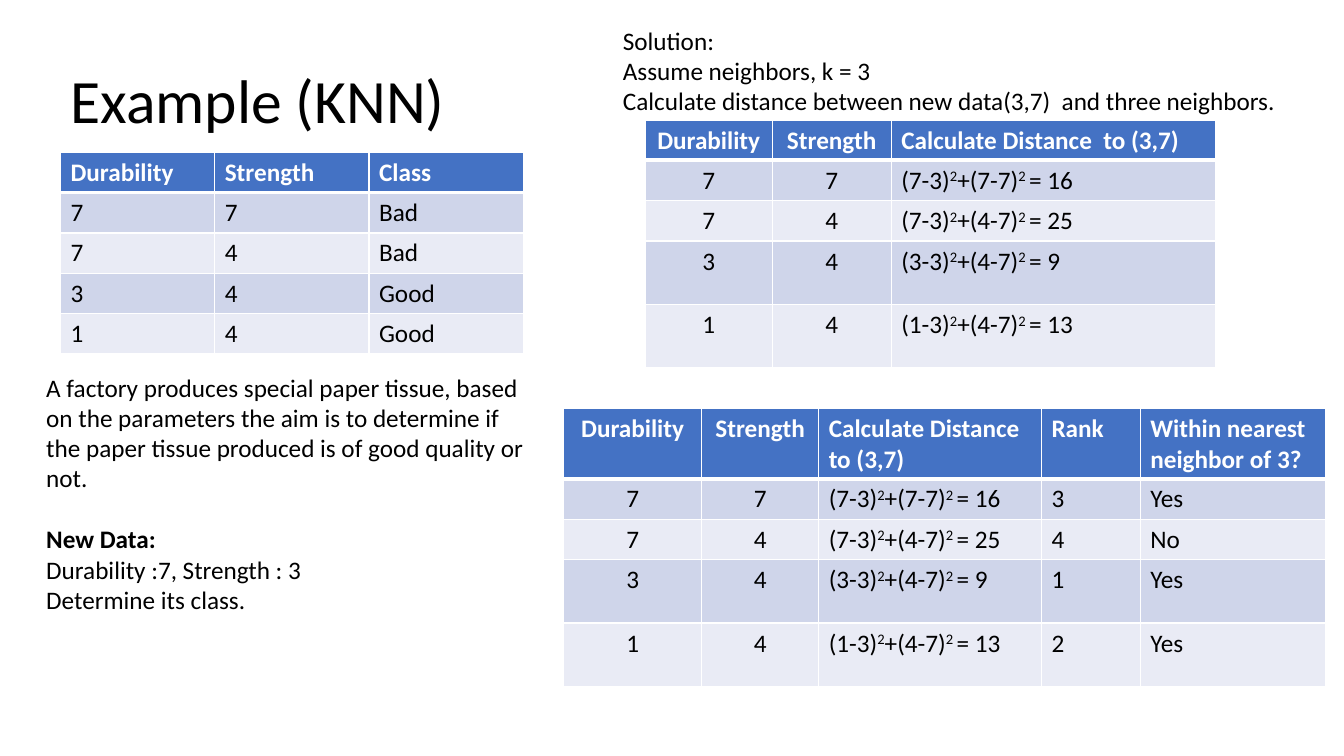
from lxml.etree import SubElement as Sub
from pptx import Presentation
from pptx.dml.color import RGBColor as RGB
from pptx.enum.text import MSO_ANCHOR as Anchor, PP_ALIGN as Align
from pptx.oxml.ns import qn
from pptx.util import Pt

PX = 9144  # 100 px to the inch
BLACK = RGB(0x00, 0x00, 0x00)
WHITE = RGB(0xFF, 0xFF, 0xFF)
BLUE = RGB(0x44, 0x72, 0xC4)
BANDS = [RGB(0xCF, 0xD5, 0xEA), RGB(0xE9, 0xEB, 0xF5)]

deck = Presentation()
deck.slide_width, deck.slide_height = 1333 * PX, 750 * PX
slide = deck.slides.add_slide(deck.slide_layouts[6])


def write(para, text, size=18, color=BLACK, bold=False):
    """Add the text as runs; parts between ^ marks are superscript."""
    for i, part in enumerate(text.split("^")):
        run = para.add_run()
        run.text = part
        font = run.font
        font.name, font.size, font.bold = "Calibri", Pt(size), bold
        font.color.rgb = color
        if i % 2:
            run._r.get_or_add_rPr().set("baseline", "30000")


def add_text(box, lines, size=18):
    """Add a text box and return its frame; lines are (text, bold, gap) tuples."""
    frame = slide.shapes.add_textbox(*[n * PX for n in box]).text_frame
    frame.word_wrap = True
    for i, (text, bold, gap) in enumerate(lines):
        para = frame.add_paragraph() if i else frame.paragraphs[0]
        if gap:
            para.space_before = Pt(gap)
        write(para, text, size, bold=bold)
    return frame


# Title and running text
title = add_text((60, 30, 426, 145), [("Example (KNN)", False, 0)], 44)
title.vertical_anchor = Anchor.MIDDLE
title.paragraphs[0].line_spacing = 0.9

add_text((36, 364, 505, 252), [
    ("A factory produces special paper tissue, based on the parameters the aim "
     "is to determine if the paper tissue produced is of good quality or not.",
     False, 0),
    ("New Data:", True, 22),
    ("Durability :7, Strength : 3", False, 0),
    ("Determine its class.", False, 0),
])
add_text((608, 20, 707, 131), [
    ("Solution:", False, 0),
    ("Assume neighbors, k = 3", False, 0),
    ("Calculate distance between new data(3,7)  and three neighbors.", False, 0),
])

# Table rows, worked out from the samples
samples = [(7, 7, "Bad"), (7, 4, "Bad"), (3, 4, "Good"), (1, 4, "Good")]
squares = [(d - 3) ** 2 + (s - 7) ** 2 for d, s, _ in samples]
known = [["Durability", "Strength", "Class"]]
dists = [["Durability", "Strength", "Calculate Distance  to (3,7)"]]
ranks = [dists[0] + ["Rank", "Within nearest neighbor of 3?"]]
for (dur, power, kind), square in zip(samples, squares):
    rank = sorted(squares).index(square) + 1
    row = [dur, power, f"({dur}-3)^2^+({power}-7)^2 ^= {square}"]
    known.append([dur, power, kind])
    dists.append(row)
    ranks.append(row + [rank, "Yes" if rank <= 3 else "No"])

# Left, top, column widths, row heights, number of centred columns, rows
tall = [36, 36, 36, 63, 63]
tables = [
    (60, 151, [153] * 3, [38] * 5, 0, known),
    (640, 119, [126, 118, 322], tall, 2, dists),
    (559, 405, [137, 116, 221, 98, 184], tall, 2, ranks),
]
for left, top, widths, heights, mid, rows in tables:
    grid = slide.shapes.add_table(
        len(rows), len(widths), left * PX, top * PX,
        sum(widths) * PX, sum(heights) * PX).table
    for col, width in zip(grid.columns, widths):
        col.width = width * PX
    for r, row in enumerate(rows):
        grid.rows[r].height = heights[r] * PX
        for c, value in enumerate(row):
            cell = grid.cell(r, c)
            props = cell._tc.get_or_add_tcPr()
            for side in "LRTB":
                thick = (r, side) in [(0, "B"), (1, "T")]
                line = Sub(props, qn("a:ln" + side), w=str(Pt(3 if thick else 1)))
                Sub(Sub(line, qn("a:solidFill")), qn("a:srgbClr"), val=str(WHITE))
            cell.fill.solid()
            cell.fill.fore_color.rgb = BANDS[(r - 1) % 2] if r else BLUE
            para = cell.text_frame.paragraphs[0]
            para.alignment = Align.CENTER if c < mid else Align.LEFT
            write(para, str(value), color=BLACK if r else WHITE, bold=r == 0)

deck.save("out.pptx")
